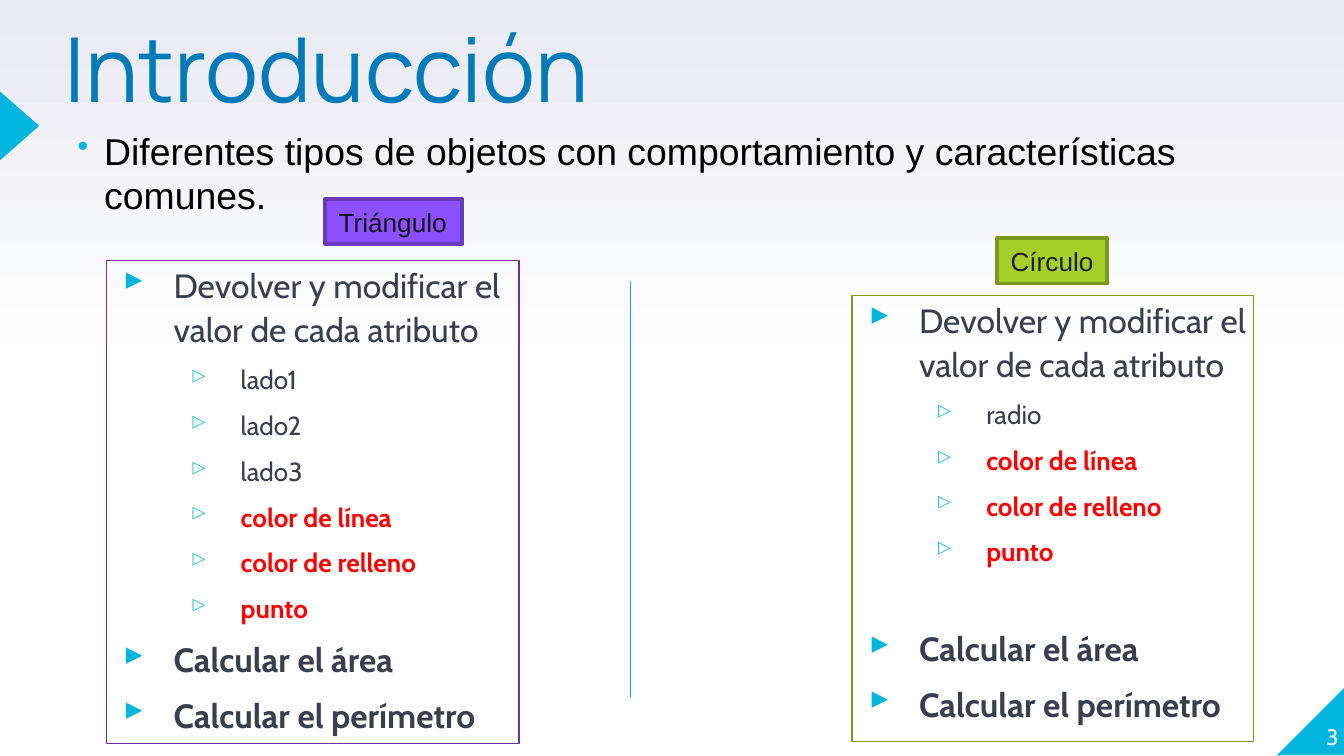
import copy

import pptx
import pptx.dml.color
import pptx.enum.shapes
import pptx.enum.text
import pptx.oxml.ns
import pptx.util
from lxml import etree

Cm = pptx.util.Cm
Pt = pptx.util.Pt
SHAPE = pptx.enum.shapes.MSO_SHAPE
ANCHOR = pptx.enum.text.MSO_ANCHOR
ALIGN = pptx.enum.text.PP_ALIGN
qn = pptx.oxml.ns.qn

COLORS = {
    "white": "FFFFFF", "haze": "E9EAF2", "cyan": "00B5DD", "divider": "00B1D8",
    "title": "007BB9", "ink": "3A3F50", "black": "000000", "shared": "FF0000",
    "triangle_frame": "7030A0", "circle_frame": "7D9A1E",
    "triangle_fill": "8C50FF", "triangle_edge": "683BBD", "triangle_text": "12131E",
    "circle_fill": "A6CE28", "circle_edge": "7B981E", "circle_text": "1D1F28",
}
SHARED_ATTRIBUTES = ["color de línea", "color de relleno", "punto"]
BLANK_ROW = 24.5


def rgb(name):
    """Return the named colour."""
    return pptx.dml.color.RGBColor.from_string(COLORS[name])


def add_run(paragraph, text, size, font, color, bold=False):
    """Append a formatted run."""
    run = paragraph.add_run()
    run.text = text
    run.font.size = Pt(size)
    run.font.name = font
    run.font.bold = bold
    run.font.color.rgb = rgb(color)


def set_bullet(paragraph, char, margin, hanging, percent=100):
    """Give a paragraph a cyan bullet with a hanging indent."""
    properties = paragraph._p.get_or_add_pPr()
    properties.set("marL", str(Cm(margin)))
    properties.set("indent", str(-Cm(hanging)))
    color = etree.SubElement(properties, qn("a:buClr"))
    etree.SubElement(color, qn("a:srgbClr"), val=COLORS["cyan"])
    etree.SubElement(properties, qn("a:buSzPct"), val=str(percent * 1000))
    etree.SubElement(properties, qn("a:buChar"), char=char)


def clear_insets(frame):
    """Remove the inner margins of a text frame."""
    frame.margin_left = frame.margin_right = 0
    frame.margin_top = frame.margin_bottom = 0


def add_panel(slide, kind, box, fill=None, line=None, width=0.75):
    """Add a flat shape with optional fill and outline."""
    shape = slide.shapes.add_shape(kind, *map(Cm, box))
    shape.shadow.inherit = False
    if fill:
        shape.fill.solid()
        shape.fill.fore_color.rgb = rgb(fill)
    else:
        shape.fill.background()
    if line:
        shape.line.color.rgb = rgb(line)
        shape.line.width = Pt(width)
    else:
        shape.line.fill.background()
    return shape


def paint_background(slide):
    """Fade the background from white up to a pale haze."""
    fill = slide.background.fill
    fill.gradient()
    fill.gradient_angle = 90
    stop_list = next(slide._element.iter(qn("a:gsLst")))
    stop_list.append(copy.deepcopy(stop_list[-1]))
    for stop, position, color in zip(
        fill.gradient_stops, (0, 0.5, 1), ("white", "white", "haze")
    ):
        stop.position = position
        stop.color.rgb = rgb(color)


def add_decoration(slide, corner_box, pointer_box):
    """Add the corner triangle and the pointer on the left edge."""
    corner = add_panel(slide, SHAPE.RIGHT_TRIANGLE, corner_box, "cyan")
    corner._element.spPr.find(qn("a:xfrm")).set("flipH", "1")
    pointer = add_panel(slide, SHAPE.ISOSCELES_TRIANGLE, pointer_box, "cyan")
    pointer.rotation = 90


def place_title(slide, box, text):
    """Move, format and fill the title placeholder."""
    title = slide.shapes.title
    title.left, title.top, title.width, title.height = map(Cm, box)
    frame = title.text_frame
    clear_insets(frame)
    frame.auto_size = pptx.enum.text.MSO_AUTO_SIZE.NONE
    frame.vertical_anchor = ANCHOR.TOP
    heading = frame.paragraphs[0]
    heading.alignment = ALIGN.LEFT
    heading.line_spacing = 0.8
    add_run(heading, text, 48, "Manrope", "title")


def add_page_number(slide, box, number):
    """Add the page number in the corner."""
    frame = slide.shapes.add_textbox(*map(Cm, box)).text_frame
    clear_insets(frame)
    frame.word_wrap = True
    frame.vertical_anchor = ANCHOR.BOTTOM
    frame.paragraphs[0].alignment = ALIGN.RIGHT
    add_run(frame.paragraphs[0], number, 12, "Cabin", "white")


def add_statement(slide, box, text):
    """Add the bulleted opening statement."""
    frame = slide.shapes.add_textbox(*map(Cm, box)).text_frame
    frame.word_wrap = True
    set_bullet(frame.paragraphs[0], "•", 0.5, 0.5, 85)
    add_run(frame.paragraphs[0], text, 20, "Arial", "black")


def add_class_list(slide, box, frame_color, attributes, gap=0):
    """Add a framed list of a class's attributes and operations."""
    frame = add_panel(slide, SHAPE.RECTANGLE, box, line=frame_color).text_frame
    clear_insets(frame)
    frame.word_wrap = True
    frame.vertical_anchor = ANCHOR.TOP
    rows = [("Devolver y modificar el valor de cada atributo", 0, "ink", False, 0)]
    rows += [(name, 1, "ink", False, 6) for name in attributes]
    rows += [(name, 1, "shared", True, 6) for name in SHARED_ATTRIBUTES]
    rows += [
        ("Calcular el área", 0, "ink", True, 6 + gap),
        ("Calcular el perímetro", 0, "ink", True, 6),
    ]
    for index, (text, level, color, bold, before) in enumerate(rows):
        row = frame.add_paragraph() if index else frame.paragraphs[0]
        set_bullet(row, "▸▹"[level], 1.27 * (level + 1), 0.95)
        row.level = level
        row.alignment = ALIGN.LEFT
        row.line_spacing = 1.1
        row.space_before = Pt(before)
        add_run(row, text, (18, 14)[level], "Cabin", color, bold)


def add_class_label(slide, box, text, theme):
    """Add the coloured name tag of a class."""
    tag = add_panel(
        slide, SHAPE.RECTANGLE, box, f"{theme}_fill", f"{theme}_edge", 2
    )
    tag.text_frame.word_wrap = False
    tag.text_frame.paragraphs[0].alignment = ALIGN.LEFT
    add_run(tag.text_frame.paragraphs[0], text, 14, "Arial", f"{theme}_text")


def add_divider(slide, x, top, bottom):
    """Add the vertical line between the two classes."""
    divider = slide.shapes.add_connector(
        pptx.enum.shapes.MSO_CONNECTOR.STRAIGHT, Cm(x), Cm(top), Cm(x), Cm(bottom)
    )
    divider.line.color.rgb = rgb("divider")
    divider.line.width = Pt(0.75)
    etree.SubElement(divider._element.spPr, qn("a:effectLst"))


def main():
    """Build and save the slide."""
    deck = pptx.Presentation()
    deck.slide_width, deck.slide_height = Cm(25.4), Cm(14.29)
    slide = deck.slides.add_slide(deck.slide_layouts[5])
    paint_background(slide)
    add_decoration(slide, (24.13, 12.98, 1.3, 1.3), (-0.28, 2.01, 1.3, 0.74))
    place_title(slide, (1.22, 0.64, 15.67, 3), "Introducción")
    add_page_number(slide, (24.03, 12.88, 1.27, 1.3), "3")
    add_class_list(slide, (2.01, 4.93, 7.8, 9.12), "triangle_frame",
                   ["lado1", "lado2", "lado3"])
    add_class_list(slide, (16.1, 5.59, 7.59, 8.43), "circle_frame",
                   ["radio"], BLANK_ROW)
    add_statement(
        slide, (1.22, 2.29, 22.81, 1.96),
        "Diferentes tipos de objetos con comportamiento y características comunes.",
    )
    add_divider(slide, 11.91, 5.33, 13.18)
    add_class_label(slide, (6.15, 3.76, 2.59, 0.86), "Triángulo", "triangle")
    add_class_label(slide, (18.85, 4.5, 2.08, 0.86), "Círculo", "circle")
    deck.save("out.pptx")


if __name__ == "__main__":
    main()
